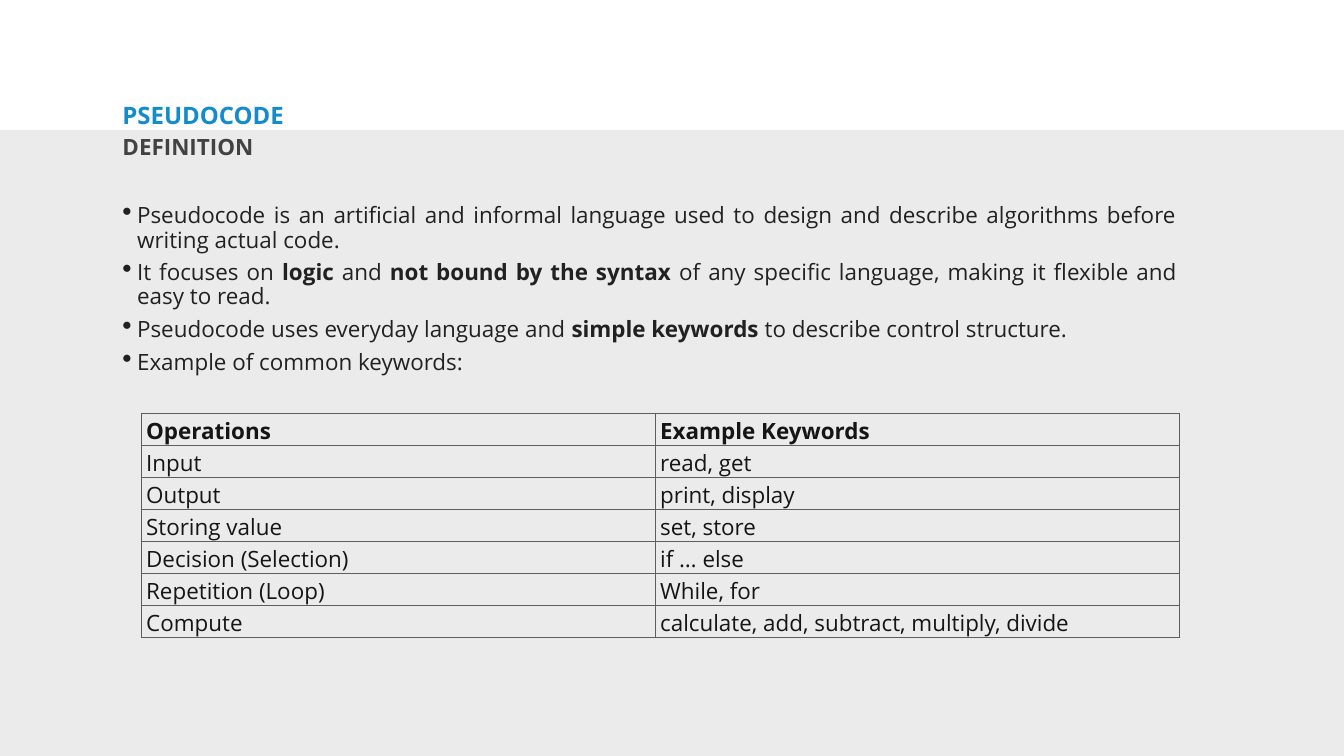
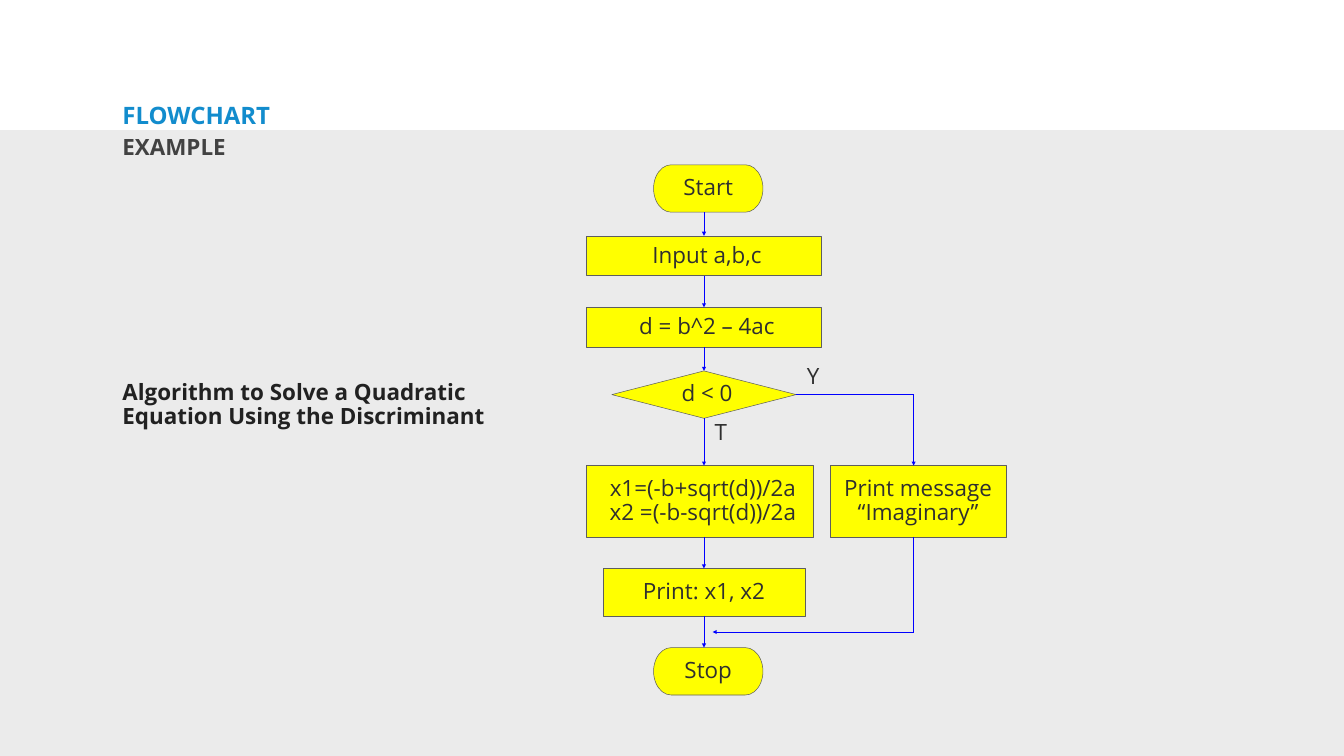
from dataclasses import dataclass
from typing import Optional

from lxml import etree
from pptx import Presentation, util as u
from pptx.dml.color import RGBColor
from pptx.enum import shapes, text
from pptx.oxml import ns

# Scale and palette
PX = 9144  # 100 px to the inch
PAGE_W, PAGE_H = 2667, 1500
LEFT = 237
FONT = "Open Sans"
BAND, YELLOW, BLUE, EDGE = "EBEBEB", "FFFF00", "0000FF", "5E5E5E"
SHAPE = shapes.MSO_SHAPE
ALIGN = text.PP_ALIGN
TOP, WEST, BOTTOM, EAST = range(4)


@dataclass(frozen=True)
class Style:
    colour: str
    bold: bool = False
    size: float = 32
    spacing: float = 0.9
    align: ALIGN = ALIGN.LEFT
    before: int = 0
    bullet: bool = False


TITLE = Style("128CCD", bold=True, size=34.2, spacing=0.8)
SUBTITLE = Style("424242", bold=True)
BULLETS = Style("212121", align=ALIGN.JUSTIFY, before=12, bullet=True)
CAPTION = Style("212121", bold=True)
FLOW = Style("2F2F2F", align=ALIGN.CENTER)
HEADER = Style("151515", bold=True, spacing=1.0)
CELL = Style("151515", spacing=1.0)


@dataclass(frozen=True)
class Node:
    name: str
    kind: SHAPE
    left: int
    top: int
    width: int
    height: int
    lines: tuple[str, ...]
    nudge: int = 0  # extra left inset


@dataclass(frozen=True)
class Joint:
    node: str
    side: int


@dataclass(frozen=True)
class Link:
    start: tuple[int, int]
    end: tuple[int, int]
    arrow: bool = True
    begin_joint: Optional[Joint] = None
    end_joint: Optional[Joint] = None


# Slide content; asterisks enclose bold words
DEFINITION = [
    "Pseudocode is an artificial and informal language used to design and describe "
    "algorithms before writing actual code.",
    "It focuses on *logic *and *not bound by the syntax *of any specific language, "
    "making it flexible and easy to read.",
    "Pseudocode uses everyday language and *simple keywords *to describe control structure.",
    "Example of common keywords:",
]
KEYWORDS = [
    ("Operations", "Example Keywords"),
    ("Input", "read, get"),
    ("Output", "print, display"),
    ("Storing value", "set, store"),
    ("Decision (Selection)", "if … else"),
    ("Repetition (Loop)", "While, for"),
    ("Compute", "calculate, add, subtract, multiply, divide"),
]
AXIS, BRANCH = 1397, 1813  # x of the main and the imaginary path
PROCESS, ENDPOINT = SHAPE.FLOWCHART_PROCESS, SHAPE.FLOWCHART_TERMINATOR
NODES = [
    Node("start", ENDPOINT, 1297, 327, 217, 94, ("Start",)),
    Node("input", PROCESS, 1164, 468, 466, 79, ("Input a,b,c",), 12),
    Node("discriminant", PROCESS, 1164, 610, 466, 79, ("d = b^2 – 4ac",), 12),
    Node("decision", SHAPE.FLOWCHART_DECISION, 1214, 736, 366, 94, ("d < 0",), 12),
    Node("imaginary", PROCESS, 1647, 924, 350, 141, ("Print message", "“Imaginary”")),
    Node("roots", PROCESS, 1164, 924, 450, 141,
         ("x1=(-b+sqrt(d))/2a", "x2 =(-b-sqrt(d))/2a"), 12),
    Node("print", PROCESS, 1197, 1128, 400, 94, ("Print: x1, x2",)),
    Node("stop", ENDPOINT, 1297, 1285, 217, 94, ("Stop",)),
]
LINKS = [
    Link((AXIS, 421), (AXIS, 468), end_joint=Joint("input", TOP)),
    Link((AXIS, 547), (AXIS, 610), True, Joint("input", BOTTOM), Joint("discriminant", TOP)),
    Link((AXIS, 689), (AXIS, 736), True, Joint("discriminant", BOTTOM), Joint("decision", TOP)),
    Link((AXIS, 830), (AXIS, 924), begin_joint=Joint("decision", BOTTOM)),
    Link((AXIS, 1065), (AXIS, 1128), end_joint=Joint("print", TOP)),
    Link((AXIS, 1222), (AXIS, 1285), begin_joint=Joint("print", BOTTOM)),
    Link((1580, 783), (BRANCH, 783), arrow=False, begin_joint=Joint("decision", EAST)),
    Link((BRANCH, 783), (BRANCH, 924)),
    Link((BRANCH, 1065), (BRANCH, 1254), arrow=False),
    Link((BRANCH, 1254), (1414, 1254)),
]


# Helpers
def px(*lengths: int) -> list[u.Emu]:
    return [u.Emu(length * PX) for length in lengths]


def rgb(value: str) -> RGBColor:
    return RGBColor.from_string(value)


def add_xml(parent, tag: str, **attributes: str):
    return etree.SubElement(parent, ns.qn(tag), attributes)


def write(frame, lines, style: Style) -> None:
    for index, line in enumerate(lines):
        para = frame.add_paragraph() if index else frame.paragraphs[0]
        if style.bullet:
            props = para._p.get_or_add_pPr()
            props.set("marL", str(29 * PX))
            props.set("indent", str(-29 * PX))
            add_xml(props, "a:buSzPct", val="123000")
            add_xml(props, "a:buChar", char="•")
        para.alignment = style.align
        para.line_spacing = style.spacing
        para.space_before = u.Pt(style.before if index else 0)
        for order, words in enumerate(line.split("*")):
            span = para.add_run()
            span.text = words
            span.font.name = FONT
            span.font.size = u.Pt(style.size)
            span.font.bold = style.bold or order % 2 == 1
            span.font.color.rgb = rgb(style.colour)


def add_text(page, left: int, top: int, width: int, height: int, lines,
             style: Style, inset: int = 6) -> None:
    frame = page.shapes.add_textbox(*px(left, top, width, height)).text_frame
    frame.word_wrap = True
    frame.margin_left = frame.margin_right = px(inset)[0]
    frame.margin_top = frame.margin_bottom = px(min(inset, 5))[0] if inset != 6 else px(6)[0]
    write(frame, lines, style)


def add_page(deck, title: str, subtitle: str):
    page = deck.slides.add_slide(deck.slide_layouts[6])
    band = page.shapes.add_shape(SHAPE.RECTANGLE, *px(0, 258, PAGE_W, PAGE_H - 258))
    band.shadow.inherit = False
    band.fill.solid()
    band.fill.fore_color.rgb = rgb(BAND)
    band.line.fill.background()
    add_text(page, LEFT, 205, 1609, 56, [title], TITLE)
    add_text(page, LEFT, 265, 1068, 88, [subtitle], SUBTITLE)
    return page


def add_borders(cell) -> None:
    props = cell._tc.get_or_add_tcPr()
    for side in "LRTB":
        line = add_xml(props, f"a:ln{side}", w=str(u.Pt(1)))
        add_xml(add_xml(line, "a:solidFill"), "a:srgbClr", val=EDGE)


def add_keyword_table(page) -> None:
    widths, row_height = (1020, 1040), 63
    area = px(280, 820, sum(widths), row_height * len(KEYWORDS))
    table = page.shapes.add_table(len(KEYWORDS), len(widths), *area).table
    for column, width in zip(table.columns, px(*widths)):
        column.width = width
    for row, entries in enumerate(KEYWORDS):
        for column, entry in enumerate(entries):
            cell = table.cell(row, column)
            add_borders(cell)
            cell.fill.background()
            write(cell.text_frame, [entry], CELL if row else HEADER)


def add_node(page, node: Node):
    box = page.shapes.add_shape(node.kind, *px(node.left, node.top, node.width, node.height))
    box.shadow.inherit = False
    box.fill.solid()
    box.fill.fore_color.rgb = rgb(YELLOW)
    box.line.color.rgb = rgb(EDGE)
    box.line.width = u.Pt(0.75)
    frame = box.text_frame
    frame.word_wrap = False
    frame.vertical_anchor = text.MSO_ANCHOR.MIDDLE
    frame.margin_left, frame.margin_right = px(10 + node.nudge, 10)
    write(frame, node.lines, FLOW)
    return box


def add_link(page, link: Link, boxes: dict) -> None:
    line = page.shapes.add_connector(shapes.MSO_CONNECTOR.STRAIGHT, *px(*link.start, *link.end))
    if link.begin_joint:
        line.begin_connect(boxes[link.begin_joint.node], link.begin_joint.side)
    if link.end_joint:
        line.end_connect(boxes[link.end_joint.node], link.end_joint.side)
    line.line.color.rgb = rgb(BLUE)
    line.line.width = u.Pt(0.75)
    if link.arrow:
        add_xml(line.line._get_or_add_ln(), "a:tailEnd", type="triangle")
    add_xml(line._element.spPr, "a:effectLst")


# Slides
def build_pseudocode(deck) -> None:
    page = add_page(deck, "PSEUDOCODE", "DEFINITION")
    add_text(page, LEFT, 400, 2105, 1029, DEFINITION, BULLETS)
    add_keyword_table(page)


def build_flowchart(deck) -> None:
    page = add_page(deck, "FLOWCHART", "EXAMPLE")
    boxes = {node.name: add_node(page, node) for node in NODES}
    for link in LINKS:
        add_link(page, link, boxes)
    add_text(page, 1580, 720, 67, 76, ["Y"], FLOW, inset=10)
    add_text(page, AXIS, 830, 67, 76, ["T"], FLOW, inset=10)
    add_text(page, LEFT, 750, 820, 630,
             ["Algorithm to Solve a Quadratic Equation Using the Discriminant"], CAPTION)


def main() -> None:
    deck = Presentation()
    deck.slide_width, deck.slide_height = px(PAGE_W, PAGE_H)
    build_pseudocode(deck)
    build_flowchart(deck)
    deck.save("out.pptx")


if __name__ == "__main__":
    main()
